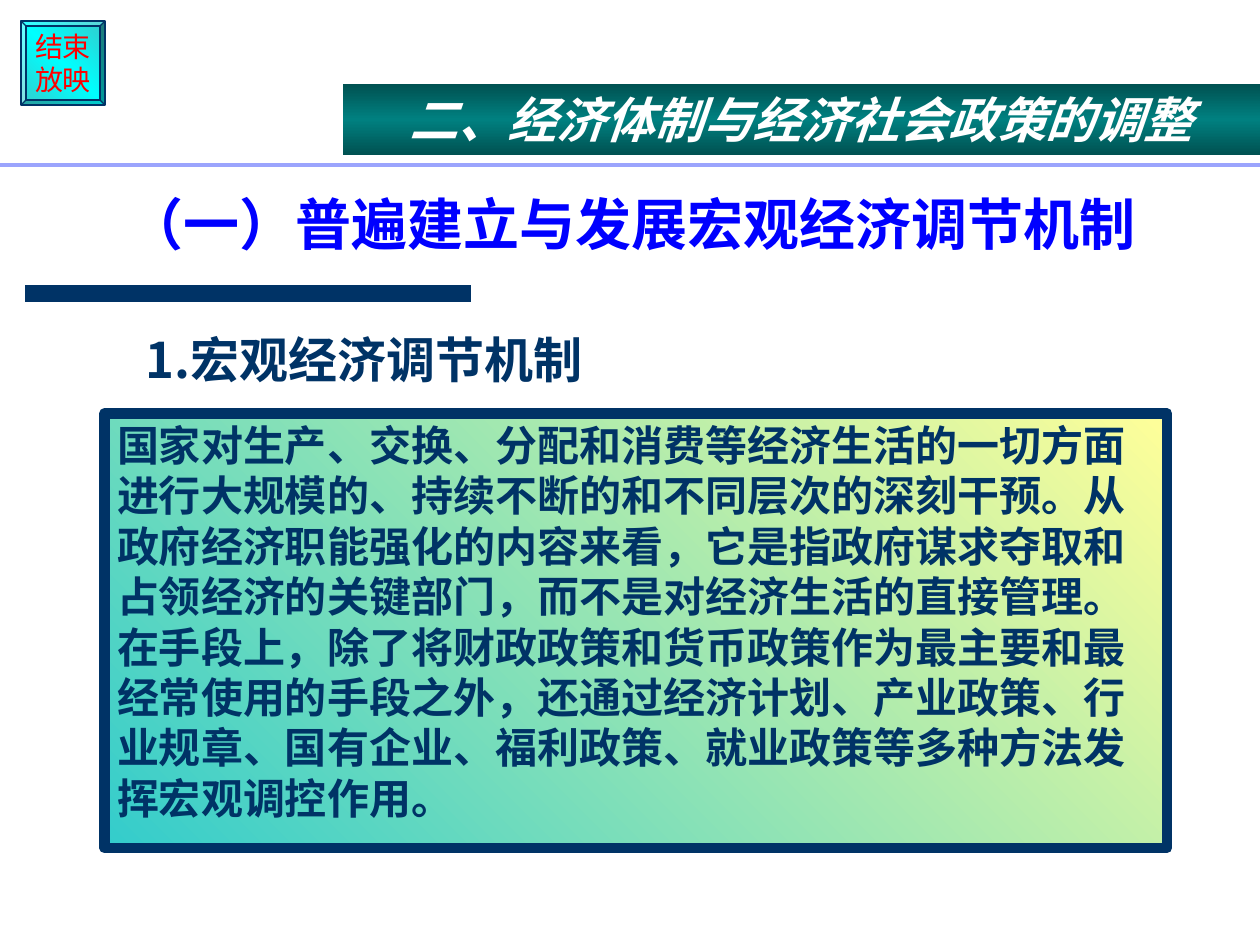
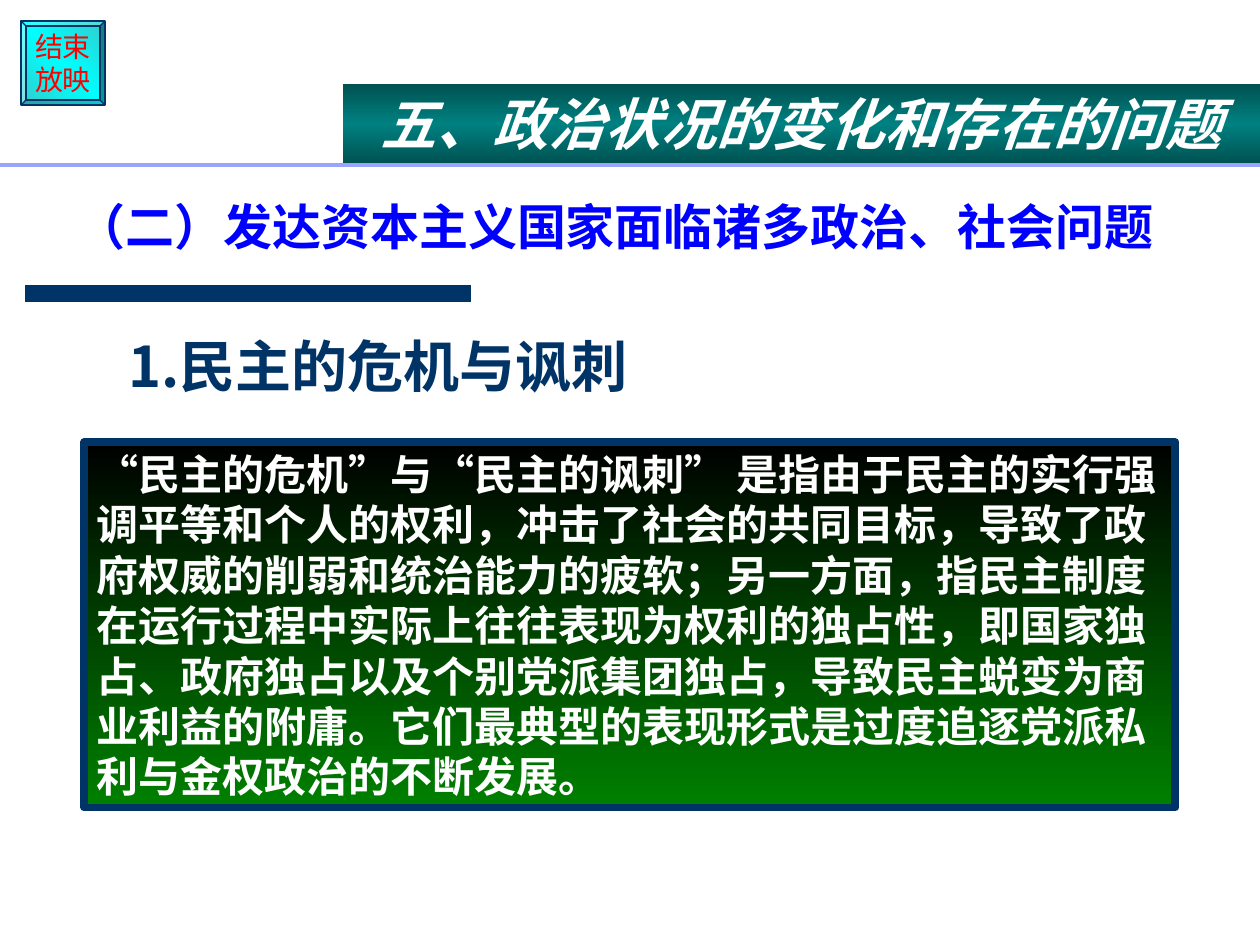
from lxml.etree import SubElement
from pptx import Presentation
from pptx.dml.color import RGBColor
from pptx.enum.shapes import MSO_CONNECTOR, MSO_SHAPE
from pptx.enum.text import MSO_ANCHOR, PP_ALIGN
from pptx.oxml.ns import qn
from pptx.util import Pt

COLORS = {
    "navy": "003366", "blue": "0000FF", "white": "FFFFFF", "red": "FF0000",
    "teal": "33CCCC", "cyan": "00FFFF", "yellow": "FFFF99", "black": "000000",
    "green": "008000", "band_edge": "005151", "band_core": "008080", "rule": "9BA4FD",
}
HEADING_FONT = "Noto Sans CJK SC"


def paint(shape, stops, angle):
    shape.shadow.inherit = False
    shape.fill.gradient()
    shape.fill.gradient_angle = 360 - angle
    stop_list = shape._element.spPr.find(qn("a:gradFill")).find(qn("a:gsLst"))
    for stop in list(stop_list):
        stop_list.remove(stop)
    for i, name in enumerate(stops):
        position = 100000 * i // (len(stops) - 1)
        stop = SubElement(stop_list, qn("a:gs"), pos=str(position))
        SubElement(stop, qn("a:srgbClr"), val=COLORS[name])


def write(shape, text, size, color, font=HEADING_FONT, bold=True, italic=False,
          align=PP_ALIGN.LEFT, anchor=MSO_ANCHOR.TOP, wrap=True):
    frame = shape.text_frame
    frame.text = text
    frame.word_wrap = wrap
    frame.vertical_anchor = anchor
    for paragraph in frame.paragraphs:
        paragraph.alignment = align
        for run in paragraph.runs:
            run.font.size = Pt(size)
            run.font.name = font
            run.font.bold = bold
            run.font.italic = italic
            run.font.color.rgb = RGBColor.from_string(COLORS[color])
            SubElement(run._r.rPr, qn("a:ea"), typeface=HEADING_FONT)
    return frame.paragraphs[0]


topics = [
    {
        "chapter": "二、经济体制与经济社会政策的调整", "chapter_size": 28, "band_height": 41,
        "section": "（一）普遍建立与发展宏观经济调节机制", "section_size": 32,
        "section_box": (65.5, 72, 612.7, 78.5),
        "point": "1.宏观经济调节机制", "point_size": 28, "point_box": (76.3, 185, 373.7, 57),
        "explanation": "国家对生产、交换、分配和消费等经济生活的一切方面进行大规模的、持续不断的和不同层次的深刻干预。从政府经济职能强化的内容来看，它是指政府谋求夺取和占领经济的关键部门，而不是对经济生活的直接管理。在手段上，除了将财政政策和货币政策作为最主要和最经常使用的手段之外，还通过经济计划、产业政策、行业规章、国有企业、福利政策、就业政策等多种方法发挥宏观调控作用。",
        "panel_box": (59.8, 236.2, 607, 248.4), "panel_stops": ("yellow", "teal"),
        "panel_angle": 135, "panel_border": 6, "panel_text": "navy", "panel_margin": 14.4,
    },
    {
        "chapter": "五、政治状况的变化和存在的问题", "chapter_size": 32, "band_height": 46,
        "section": "（二）发达资本主义国家面临诸多政治、社会问题", "section_size": 28,
        "section_box": (36.7, 71.3, 668.9, 78.5),
        "point": "1.民主的危机与讽刺", "point_size": 32, "point_box": (66.2, 185.8, 605.5, 72.7),
        "explanation": "“民主的危机”与“民主的讽刺” 是指由于民主的实行强调平等和个人的权利，冲击了社会的共同目标，导致了政府权威的削弱和统治能力的疲软；另一方面，指民主制度在运行过程中实际上往往表现为权利的独占性，即国家独占、政府独占以及个别党派集团独占，导致民主蜕变为商业利益的附庸。它们最典型的表现形式是过度追逐党派私利与金权政治的不断发展。",
        "panel_box": (48.2, 252.7, 623.5, 208.8), "panel_stops": ("black", "green"),
        "panel_angle": 90, "panel_border": 4.5, "panel_text": "white", "panel_margin": 7.2,
    },
]
rules = [
    (14.4, 269.3, 167.8, "navy", 10),
    (0, 720, 94.3, "rule", 1.75),
]

deck = Presentation()
deck.slide_width, deck.slide_height = Pt(720), Pt(540)

for topic in topics:
    slide = deck.slides.add_slide(deck.slide_layouts[6])
    shapes = slide.shapes

    end_button = shapes.add_shape(MSO_SHAPE.BEVEL, Pt(12), Pt(12), Pt(48), Pt(48))
    end_button.adjustments[0] = 0.06
    paint(end_button, ("teal", "cyan", "teal"), 135)
    end_button.line.color.rgb = RGBColor.from_string(COLORS["navy"])
    end_button.line.width = Pt(0.75)
    write(end_button, "结束\n放映", 16, "red", font="Arial", bold=False,
          align=PP_ALIGN.CENTER, anchor=MSO_ANCHOR.MIDDLE, wrap=False)

    section = shapes.add_textbox(*map(Pt, topic["section_box"]))
    heading = write(section, topic["section"], topic["section_size"], "blue",
                    anchor=MSO_ANCHOR.BOTTOM)
    heading.line_spacing = 0.9

    point = shapes.add_textbox(*map(Pt, topic["point_box"]))
    point_line = write(point, topic["point"], topic["point_size"], "navy")
    indent = point_line._p.get_or_add_pPr()
    indent.set("marL", str(Pt(27)))
    indent.set("indent", str(-Pt(27)))

    panel = shapes.add_shape(MSO_SHAPE.RECTANGLE, *map(Pt, topic["panel_box"]))
    paint(panel, topic["panel_stops"], topic["panel_angle"])
    panel.line.color.rgb = RGBColor.from_string(COLORS["navy"])
    panel.line.width = Pt(topic["panel_border"])
    write(panel, topic["explanation"], 24, topic["panel_text"])
    panel.text_frame.margin_right = Pt(topic["panel_margin"])
    panel.text_frame.margin_bottom = Pt(topic["panel_margin"])

    band = shapes.add_shape(MSO_SHAPE.RECTANGLE, Pt(195.8), Pt(47.8),
                            Pt(524.2), Pt(topic["band_height"]))
    paint(band, ("band_edge", "band_core", "band_edge"), 90)
    band.line.fill.background()
    write(band, topic["chapter"], topic["chapter_size"], "white",
          italic=True, align=PP_ALIGN.CENTER)

    for left, right, y, color, width in rules:
        rule = shapes.add_connector(MSO_CONNECTOR.STRAIGHT, Pt(left), Pt(y), Pt(right), Pt(y))
        rule.line.color.rgb = RGBColor.from_string(COLORS[color])
        rule.line.width = Pt(width)
        SubElement(rule._element.spPr, qn("a:effectLst"))

deck.save("out.pptx")
